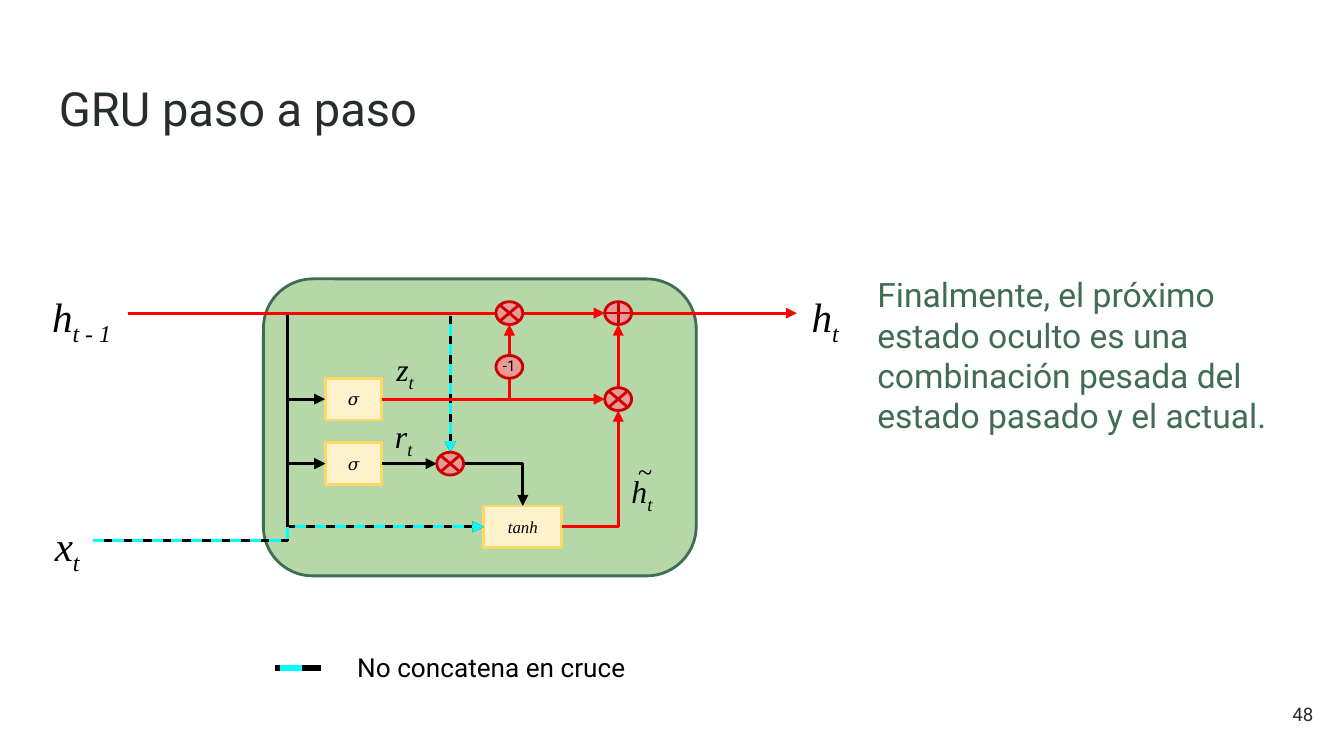
from dataclasses import dataclass

import pptx
import pptx.dml.color
import pptx.enum.dml
import pptx.enum.shapes
import pptx.enum.text
import pptx.oxml
import pptx.oxml.ns
import pptx.oxml.xmlchemy
import pptx.shapes.autoshape
import pptx.shapes.connector
import pptx.util

Inches = pptx.util.Inches
Pt = pptx.util.Pt
RGBColor = pptx.dml.color.RGBColor
MSO_SHAPE = pptx.enum.shapes.MSO_SHAPE
MSO_CONNECTOR = pptx.enum.shapes.MSO_CONNECTOR
MSO_ANCHOR = pptx.enum.text.MSO_ANCHOR
PP_ALIGN = pptx.enum.text.PP_ALIGN
MSO_LINE = pptx.enum.dml.MSO_LINE

INK = RGBColor(0x27, 0x2D, 0x2A)
BLACK = RGBColor(0, 0, 0)
RED = RGBColor(0xFF, 0, 0)
CYAN = RGBColor(0, 0xFF, 0xFF)
FOREST = RGBColor(0x40, 0x6C, 0x54)
LEAF = RGBColor(0xB6, 0xD7, 0xA8)
CREAM = RGBColor(0xFF, 0xF2, 0xCC)
GOLD = RGBColor(0xFF, 0xD9, 0x66)
ROSE = RGBColor(0xEA, 0x99, 0x99)
CRIMSON = RGBColor(0xCC, 0, 0)
SANS = "Roboto"
SERIF = "Times New Roman"

STATE_Y, UPDATE_Y, RESET_Y, CANDIDATE_Y, INPUT_Y = 2.33, 2.97, 3.45, 3.92, 4.02
STATE_X, INPUT_X, TRUNK_X, OUTPUT_X = 0.95, 0.69, 2.14, 5.93
RESET_X, KEEP_X, BLEND_X = 3.35, 3.79, 4.6
SIGMA_X, SIGMA_W = 2.63, 0.42
TANH_X, TANH_W = 3.89, 0.58
LAYER_H = 0.31
GATE_W, GATE_H = 0.2, 0.17
SIGMA_LEFT, SIGMA_RIGHT = SIGMA_X - SIGMA_W / 2, SIGMA_X + SIGMA_W / 2
TANH_LEFT, TANH_RIGHT = TANH_X - TANH_W / 2, TANH_X + TANH_W / 2

Point = tuple[float, float]


@dataclass
class Label:
    text: str
    box: tuple[float, float, float, float]
    size: float
    subscript: str = ""
    font: str = SERIF
    color: RGBColor = BLACK
    italic: bool = False
    align: PP_ALIGN = PP_ALIGN.LEFT
    anchor: MSO_ANCHOR = MSO_ANCHOR.TOP


@dataclass
class Layer:
    name: str
    x: float
    y: float
    width: float


@dataclass
class Gate:
    kind: MSO_SHAPE
    x: float
    y: float


@dataclass
class Wire:
    start: Point
    end: Point
    color: RGBColor
    bend_x: float | None = None
    dashed: bool = False
    arrow: bool = True
    width: float = 1.5
    source: str = ""


LABELS = [
    Label("GRU paso a paso", (0.34, 0.49, 9.32, 0.63), 25.2, font=SANS, color=INK),
    Label("48", (9.27, 5.1, 0.6, 0.43), 10, font=SANS, color=INK,
          align=PP_ALIGN.RIGHT, anchor=MSO_ANCHOR.MIDDLE),
    Label("Finalmente, el próximo estado oculto es una combinación pesada del "
          "estado pasado y el actual.", (6.43, 1.94, 3.3, 1.41), 18, font=SANS, color=FOREST),
    Label("No concatena en cruce", (2.56, 4.75, 2.46, 0.44), 14, font=SANS),
    Label("h", (0.29, 2.07, 0.66, 0.52), 22, "t - 1", italic=True),
    Label("x", (0.2, 3.77, 0.49, 0.52), 22, "t", italic=True, align=PP_ALIGN.RIGHT),
    Label("h", (5.94, 2.07, 0.42, 0.52), 22, "t", italic=True),
    Label("z", (2.85, 2.5, 0.42, 0.45), 17, "t", italic=True),
    Label("r", (2.84, 3.0, 0.42, 0.45), 17, "t", italic=True),
    Label("h", (4.6, 3.41, 0.38, 0.45), 17, "t", italic=True),
    Label("~", (4.65, 3.29, 0.27, 0.35), 14),
]
INVERTER_LABEL = Label("-1", (3.61, 2.59, 0.36, 0.33), 8, font=SANS, align=PP_ALIGN.CENTER)

LAYERS = {
    "update": Layer("𝜎", SIGMA_X, UPDATE_Y, SIGMA_W),
    "reset": Layer("𝜎", SIGMA_X, RESET_Y, SIGMA_W),
    "candidate": Layer("tanh", TANH_X, CANDIDATE_Y, TANH_W),
}

GATES = [
    Gate(MSO_SHAPE.FLOWCHART_SUMMING_JUNCTION, RESET_X, RESET_Y),
    Gate(MSO_SHAPE.FLOWCHART_OR, BLEND_X, STATE_Y),
    Gate(MSO_SHAPE.OVAL, KEEP_X, 2.73),
    Gate(MSO_SHAPE.FLOWCHART_SUMMING_JUNCTION, BLEND_X, UPDATE_Y),
    Gate(MSO_SHAPE.FLOWCHART_SUMMING_JUNCTION, KEEP_X, STATE_Y),
]

STATE, INPUT = (STATE_X, STATE_Y), (INPUT_X, INPUT_Y)
UPDATE_IN, RESET_IN = (SIGMA_LEFT, UPDATE_Y), (SIGMA_LEFT, RESET_Y)
UPDATE_OUT, RESET_OUT = (SIGMA_RIGHT, UPDATE_Y), (SIGMA_RIGHT, RESET_Y)
TANH_IN = (TANH_LEFT, CANDIDATE_Y)
RESET_TOP = (RESET_X, RESET_Y - GATE_H / 2)
BLEND_LEFT = BLEND_X - GATE_W / 2

WIRES = [
    Wire(STATE, RESET_TOP, BLACK, RESET_X),
    Wire(RESET_OUT, (RESET_X - GATE_W / 2, RESET_Y), BLACK, source="reset"),
    Wire(INPUT, TANH_IN, BLACK, TRUNK_X),
    Wire((RESET_X + GATE_W / 2, RESET_Y), (TANH_X, CANDIDATE_Y - LAYER_H / 2), BLACK, TANH_X),
    Wire(UPDATE_OUT, (KEEP_X, STATE_Y + GATE_H / 2), RED, KEEP_X),
    Wire(UPDATE_OUT, (BLEND_LEFT, UPDATE_Y), RED, source="update"),
    Wire((TANH_RIGHT, CANDIDATE_Y), (BLEND_X, UPDATE_Y + GATE_H / 2), RED, BLEND_X),
    Wire((BLEND_X, UPDATE_Y - GATE_H / 2), (BLEND_X, STATE_Y + GATE_H / 2), RED),
    Wire((BLEND_X + GATE_W / 2, STATE_Y), (OUTPUT_X, STATE_Y), RED),
    Wire(STATE, UPDATE_IN, BLACK, TRUNK_X),
    Wire(STATE, RESET_IN, BLACK, TRUNK_X),
    Wire(INPUT, RESET_IN, BLACK, TRUNK_X),
    Wire(STATE, RESET_TOP, CYAN, RESET_X, dashed=True),
    Wire(INPUT, TANH_IN, CYAN, TRUNK_X, dashed=True),
    Wire((2.05, 4.97), (2.39, 4.97), BLACK, arrow=False, width=3),
    Wire((2.08, 4.97), (2.37, 4.97), CYAN, dashed=True, arrow=False, width=3),
    Wire(STATE, (BLEND_LEFT, STATE_Y), RED),
]


def write(shape, text: str, *, size: float, subscript: str = "", font: str = SERIF,
          color: RGBColor = BLACK, italic: bool = False, align=PP_ALIGN.LEFT,
          anchor=MSO_ANCHOR.TOP) -> None:
    frame = shape.text_frame
    frame.word_wrap = True
    frame.vertical_anchor = anchor
    frame.margin_left = frame.margin_right = Inches(0.1)
    frame.margin_top = frame.margin_bottom = Inches(0.1)
    paragraph = frame.paragraphs[0]
    paragraph.alignment = align
    for part in filter(None, (text, subscript)):
        run = paragraph.add_run()
        run.text = part
        run.font.name, run.font.size = font, Pt(size)
        run.font.italic = italic
        run.font.color.rgb = color
    if subscript:
        run.font._element.set("baseline", "-25000")


def draw_label(slide, label: Label) -> None:
    box = slide.shapes.add_textbox(*map(Inches, label.box))
    write(box, label.text, size=label.size, subscript=label.subscript, font=label.font,
          color=label.color, italic=label.italic, align=label.align, anchor=label.anchor)


def draw_block(slide, kind: MSO_SHAPE, center: Point, width: float, height: float,
               fill: RGBColor, line: RGBColor) -> pptx.shapes.autoshape.Shape:
    block = slide.shapes.add_shape(kind, Inches(center[0] - width / 2),
                                   Inches(center[1] - height / 2), Inches(width), Inches(height))
    block.shadow.inherit = False
    block.fill.solid()
    block.fill.fore_color.rgb = fill
    block.line.color.rgb = line
    block.line.width = Pt(1.5)
    return block


def draw_layer(slide, layer: Layer) -> pptx.shapes.autoshape.Shape:
    block = draw_block(slide, MSO_SHAPE.RECTANGLE, (layer.x, layer.y), layer.width, LAYER_H,
                       CREAM, GOLD)
    write(block, layer.name, size=9, italic=True, align=PP_ALIGN.CENTER, anchor=MSO_ANCHOR.MIDDLE)
    return block


def draw_wire(slide, wire: Wire, layers: dict) -> pptx.shapes.connector.Connector:
    kind = MSO_CONNECTOR.STRAIGHT if wire.bend_x is None else MSO_CONNECTOR.ELBOW
    line = slide.shapes.add_connector(kind, *map(Inches, wire.start + wire.end))
    if wire.source:
        line.begin_connect(layers[wire.source], 3)
    line.line.color.rgb = wire.color
    line.line.width = Pt(wire.width)
    if wire.dashed:
        line.line.dash_style = MSO_LINE.DASH
    qn, element = pptx.oxml.ns.qn, pptx.oxml.xmlchemy.OxmlElement
    properties = line._element.spPr
    if wire.arrow:
        head = element("a:tailEnd")
        head.set("type", "triangle")
        properties.find(qn("a:ln")).append(head)
    properties.append(element("a:effectLst"))
    if wire.bend_x is not None:
        geometry = properties.find(qn("a:prstGeom"))
        if wire.bend_x == wire.end[0]:
            geometry.set("prst", "bentConnector2")
        else:
            share = (wire.bend_x - wire.start[0]) / (wire.end[0] - wire.start[0])
            guide = element("a:gd")
            guide.set("name", "adj1")
            guide.set("fmla", f"val {round(share * 100000)}")
            geometry.find(qn("a:avLst")).append(guide)
    return line


def main() -> None:
    deck = pptx.Presentation()
    deck.slide_width = Inches(10)
    deck.slide_height = deck.slide_width * 9 // 16
    slide = deck.slides.add_slide(deck.slide_layouts[6])
    draw_block(slide, MSO_SHAPE.ROUNDED_RECTANGLE, (3.57, 3.18), 3.22, 2.21, LEAF, FOREST)
    for label in LABELS:
        draw_label(slide, label)
    layers = {key: draw_layer(slide, layer) for key, layer in LAYERS.items()}
    for wire in WIRES:
        draw_wire(slide, wire, layers)
    for gate in GATES:
        draw_block(slide, gate.kind, (gate.x, gate.y), GATE_W, GATE_H, ROSE, CRIMSON)
    draw_label(slide, INVERTER_LABEL)
    deck.save("out.pptx")


if __name__ == "__main__":
    main()
